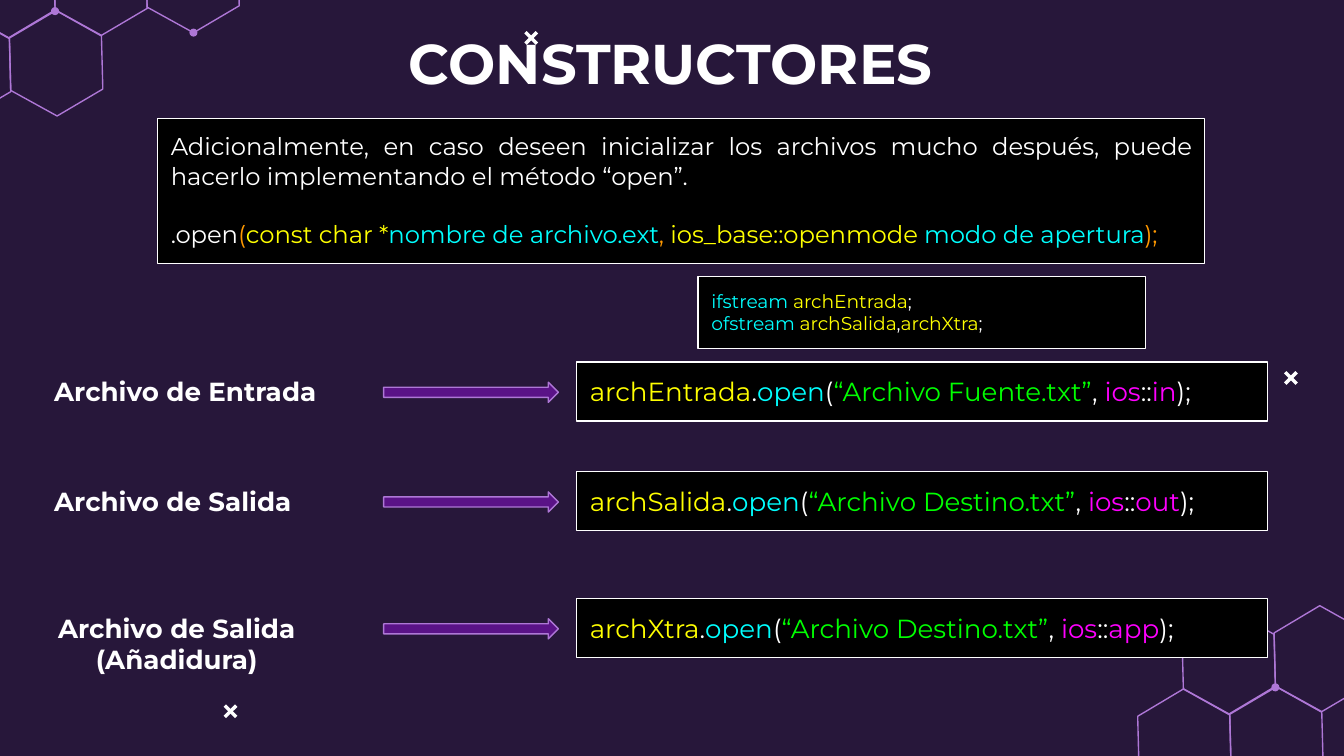
from pptx import Presentation
from pptx import util as u
from pptx.dml.color import RGBColor
from pptx.enum import shapes, text

NIGHT = RGBColor(0x27, 0x17, 0x3A)
BLACK = RGBColor(0x00, 0x00, 0x00)
WHITE = RGBColor(0xFF, 0xFF, 0xFF)
LILAC = RGBColor(0xAE, 0x77, 0xD6)
PURPLE = RGBColor(0x5A, 0x13, 0x87)
YELLOW = RGBColor(0xFF, 0xFF, 0x00)
CYAN = RGBColor(0x00, 0xFF, 0xFF)
GREEN = RGBColor(0x00, 0xFF, 0x00)
MAGENTA = RGBColor(0xFF, 0x00, 0xFF)
ORANGE = RGBColor(0xFF, 0x99, 0x00)

FONT = "Montserrat"
COLUMNS, ROWS = 100, 56.25  # square grid cells, a tenth of an inch each

# Corners of a honeycomb cell, measured from its lower right corner
HEXAGON = [(0, 0), (-0.1, -3.95), (-3.55, -5.88), (-6.95, -3.85), (-6.85, 0.1), (-3.4, 2)]
STEP_RIGHT = (6.85, -0.2)
STEP_DOWN = (-3.3, 6)


def grid(cells):
    return u.Inches(cells / 10)


def place(box):
    return [grid(value) for value in box]


def style(shape, fill, line=None):
    shape.shadow.inherit = False
    shape.fill.solid()
    shape.fill.fore_color.rgb = fill
    if line is None:
        shape.line.fill.background()
    else:
        shape.line.color.rgb = line
        shape.line.width = u.Pt(0.75)


def write(shape, paragraphs, size, bold=False, align=text.PP_ALIGN.LEFT,
          anchor=text.MSO_ANCHOR.TOP, gap=0):
    """Fill a shape with paragraphs, each a list of (words, colour) pieces."""
    frame = shape.text_frame
    frame.word_wrap = True
    frame.vertical_anchor = anchor
    frame.margin_left = frame.margin_right = grid(1)
    frame.margin_top = frame.margin_bottom = grid(1)
    for index, pieces in enumerate(paragraphs):
        paragraph = frame.add_paragraph() if index else frame.paragraphs[0]
        paragraph.alignment = align
        if index and gap:
            paragraph.space_before = u.Pt(gap)
        for words, colour in pieces:
            run = paragraph.add_run()
            run.text = words
            run.font.name = FONT
            run.font.size = u.Pt(size)
            run.font.bold = bold
            run.font.color.rgb = colour


def add_panel(slide, box, paragraphs, size, **options):
    panel = slide.shapes.add_shape(shapes.MSO_SHAPE.RECTANGLE, *place(box))
    style(panel, BLACK, WHITE)
    write(panel, paragraphs, size, **options)


def add_label(slide, box, paragraphs, size, **options):
    label = slide.shapes.add_textbox(*place(box))
    write(label, paragraphs, size, bold=True, **options)


def add_honeycomb(slide, origin, cells, dots):
    """Draw cells given as (column, row) and dots given as offsets from origin."""
    left, top = origin
    for column, row in cells:
        x = left + column * STEP_RIGHT[0] + row * STEP_DOWN[0]
        y = top + column * STEP_RIGHT[1] + row * STEP_DOWN[1]
        corners = [(grid(x + dx), grid(y + dy)) for dx, dy in HEXAGON]
        builder = slide.shapes.build_freeform(*corners[0])
        builder.add_line_segments(corners[1:], close=True)
        hexagon = builder.convert_to_shape()
        style(hexagon, NIGHT, LILAC)
        hexagon.fill.background()
    for dx, dy in dots:
        box = (left + dx - 0.3, top + dy - 0.3, 0.6, 0.6)
        style(slide.shapes.add_shape(shapes.MSO_SHAPE.OVAL, *place(box)), LILAC)


def add_cross(slide, box):
    left, top, width, height = box
    right, bottom = left + width, top + height
    for ends in ((left, bottom, right, top), (left, top, right, bottom)):
        stroke = slide.shapes.add_connector(shapes.MSO_CONNECTOR.STRAIGHT, *place(ends))
        properties = stroke._element.spPr
        stroke.line.color.rgb = WHITE
        stroke.line.width = u.Pt(1.84)
        properties.append(properties.makeelement(
            "{http://schemas.openxmlformats.org/drawingml/2006/main}effectLst", {}))


def add_example(slide, box, label_lines, label_width, align, code):
    """One row: label, arrow and the matching call to open."""
    left, top, width, height = box
    variable, file_name, mode = code
    label_height = height + 2.3 * (len(label_lines) - 1)
    add_label(slide, (left, top, label_width, label_height),
              [[(line, WHITE)] for line in label_lines], 14, align=align)
    arrow = slide.shapes.add_shape(shapes.MSO_SHAPE.RIGHT_ARROW,
                                   *place((left + 25.5, top + 1.5, 13, 1.5)))
    style(arrow, PURPLE, LILAC)
    call = [(variable, YELLOW), (".", WHITE), ("open", CYAN), ("(", WHITE),
            (f"“{file_name}”", GREEN), (", ", WHITE), ("ios", MAGENTA),
            ("::", WHITE), (mode, MAGENTA), (");", WHITE)]
    add_panel(slide, (left + 39.85, top, width - 39.85, height), [call], 14)


def main():
    presentation = Presentation()
    presentation.slide_width = grid(COLUMNS)
    presentation.slide_height = grid(ROWS)
    slide = presentation.slides.add_slide(presentation.slide_layouts[6])
    slide.background.fill.solid()
    slide.background.fill.fore_color.rgb = NIGHT

    add_honeycomb(slide, (4.1, 0.83), [(0, 0), (1, 0), (2, 0), (0, 1), (1, 1)],
                  [(0, 0), (10.3, 1.6)])
    add_honeycomb(slide, (94.9, 51.15), [(0, 0), (1, 0), (0, 1), (1, 1)], [(0, 0)])
    for left, top in ((16.73, 52.5), (95.63, 27.7), (39.1, 2.4)):
        add_cross(slide, (left, top, 0.85, 0.85))

    add_label(slide, (29.4, 1.6, 42.5, 6.1), [[("CONSTRUCTORES", WHITE)]], 30,
              anchor=text.MSO_ANCHOR.MIDDLE)
    add_panel(slide, (11.72, 8.8, 77.9, 10.8), [
        [("Adicionalmente, en caso deseen inicializar los archivos mucho después, "
          "puede hacerlo implementando el método “open”.", WHITE)],
        [(".open", WHITE), ("(", ORANGE), ("const char *", YELLOW),
         ("nombre de archivo.ext", CYAN), (",", ORANGE),
         (" ios_base::openmode ", YELLOW), ("modo de apertura", CYAN), (");", ORANGE)],
    ], 13, align=text.PP_ALIGN.JUSTIFY, gap=15.8)
    add_panel(slide, (51.95, 20.56, 33.3, 5.4), [
        [("ifstream ", CYAN), ("archEntrada", YELLOW), (";", WHITE)],
        [("ofstream ", CYAN), ("archSalida", YELLOW), (",", WHITE),
         ("archXtra", YELLOW), (";", WHITE)],
    ], 10)

    left_align, centre = text.PP_ALIGN.LEFT, text.PP_ALIGN.CENTER
    examples = [
        (26.94, ["Archivo de Entrada"], 36.6, left_align,
         ("archEntrada", "Archivo Fuente.txt", "in")),
        (35.1, ["Archivo de Salida"], 32.4, left_align,
         ("archSalida", "Archivo Destino.txt", "out")),
        (44.54, ["Archivo de Salida", "(Añadidura)"], 20.2, centre,
         ("archXtra", "Archivo Destino.txt", "app")),
    ]
    for top, *details in examples:
        add_example(slide, (3.05, top, 91.25, 4.4), *details)

    presentation.save("out.pptx")


if __name__ == "__main__":
    main()
